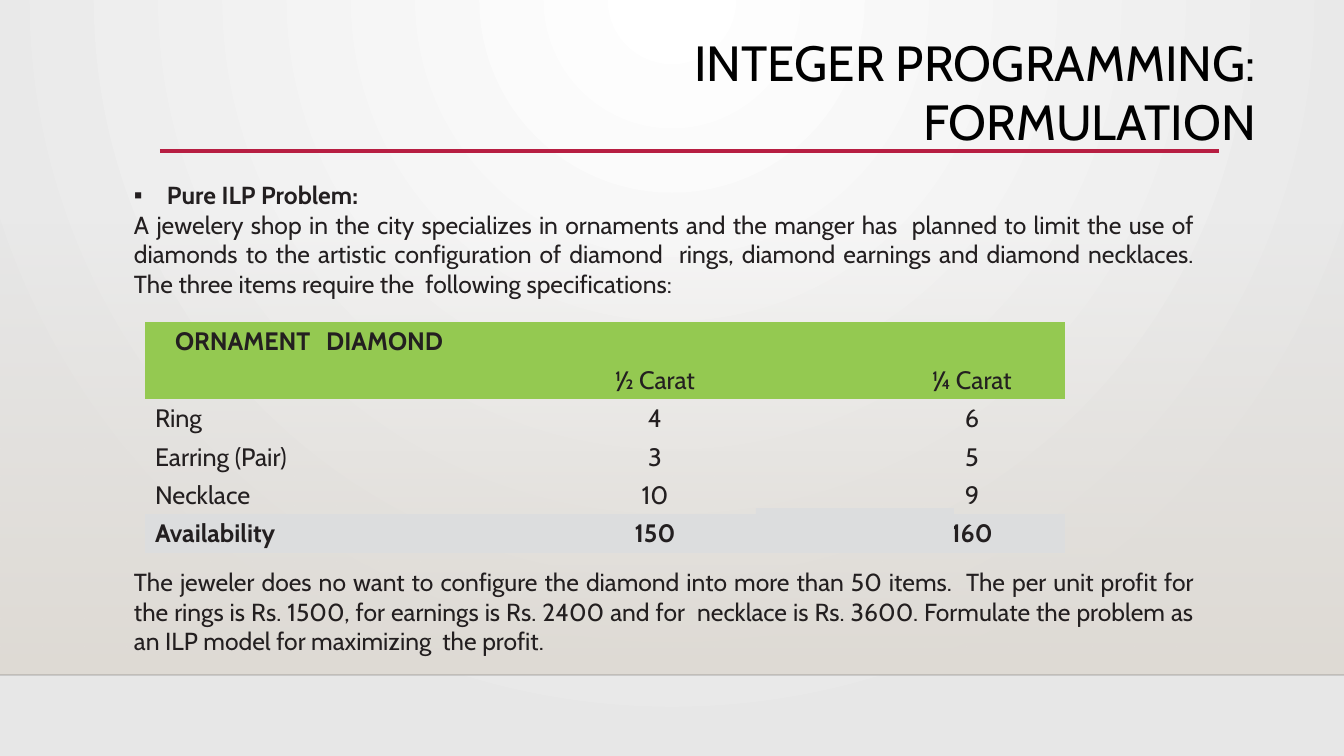
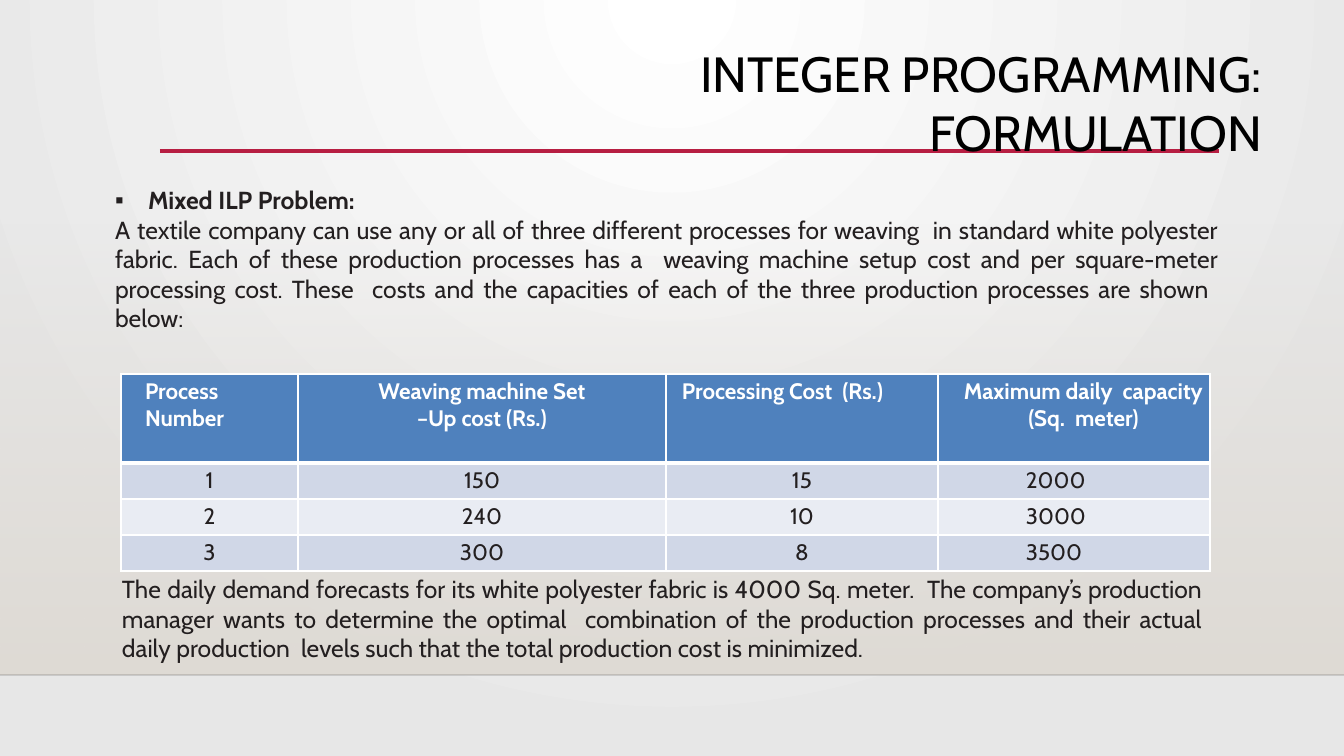
from lxml import etree
from pptx import Presentation
from pptx import util as u
from pptx.dml.color import RGBColor
from pptx.enum import shapes, text
from pptx.oxml.ns import qn

PX = u.Inches(1) / 100.8
FONT = "Cabin"
COLORS = {
    "ink": "231F20", "title": "000000", "white": "FFFFFF", "edge": "E7E7E7",
    "floor": "DFDBD5", "floor_line": "000001", "rule": "B71E42",
    "green": "94C951", "gray": "DCDDDE",
    "blue": "4F81BD", "blue_mid": "D0D7E7", "blue_pale": "E9ECF3",
}
LEFT, CENTER, RIGHT, JUSTIFY = (
    text.PP_ALIGN.LEFT, text.PP_ALIGN.CENTER, text.PP_ALIGN.RIGHT, text.PP_ALIGN.JUSTIFY)
NO_GRID_STYLE = "{2D5ABB26-0587-4C30-8999-92F81FD0307C}"
TITLE = ["INTEGER PROGRAMMING:", "FORMULATION"]

PROBLEMS = [
    {
        "title_box": (322, 31, 934, 121),
        "problem_box": (133, 179, 1062, 122),
        "heading": "Pure ILP Problem:",
        "problem": "A jewelery shop in the city specializes in ornaments and the manger has  planned "
                   "to limit the use of diamonds to the artistic configuration of diamond  rings, "
                   "diamond earnings and diamond necklaces. The three items require the  following "
                   "specifications:",
        "question_box": (133, 566, 1062, 91),
        "question": "The jeweler does no want to configure the diamond into more than 50 items.  The per "
                    "unit profit for the rings is Rs. 1500, for earnings is Rs. 2400 and for  necklace is "
                    "Rs. 3600. Formulate the problem as an ILP model for maximizing  the profit.",
        "table": {
            "at": (145, 322), "height": 231, "header": 39, "widths": (346, 328, 246), "size": 18,
            "rows": [
                ("ORNAMENT\tDIAMOND", "", ""),
                ("", "½ Carat", "¼ Carat"),
                ("Ring", "4", "6"),
                ("Earring (Pair)", "3", "5"),
                ("Necklace", "10", "9"),
                ("Availability", "150", "160"),
            ],
            "header_format": [(LEFT, 30)] * 3,
            "column_format": [(LEFT, 10), (CENTER, 0), (CENTER, 60)],
            "fills": ["green", "green", None, None, None, "gray"],
            "bold_rows": (0, 5), "header_ink": "ink", "header_tab": 376, "grid": False,
        },
        "patch": (756, 508, 198, 39),
    },
    {
        "title_box": (328, 42, 934, 121),
        "problem_box": (114, 184, 1105, 151),
        "heading": "Mixed ILP Problem:",
        "problem": "A textile company can use any or all of three different processes for weaving  in "
                   "standard white polyester fabric. Each of these production processes has a  weaving "
                   "machine setup cost and per square-meter processing cost. These  costs and the "
                   "capacities of each of the three production processes are shown  below:",
        "question_box": (121, 573, 1082, 91),
        "question": "The daily demand forecasts for its white polyester fabric is 4000 Sq. meter.  The "
                    "company’s production manager wants to determine the optimal  combination of the "
                    "production processes and their actual daily production  levels such that the total "
                    "production cost is minimized.",
        "table": {
            "at": (121, 374), "height": 197, "header": 89, "widths": (177, 368, 272, 272), "size": 16,
            "rows": [
                ("Process  Number", "Weaving machine Set\n–Up cost (Rs.)",
                 "Processing Cost  (Rs.)", "Maximum daily  capacity (Sq.  meter)"),
                ("1", "150", "15", "2000"),
                ("2", "240", "10", "3000"),
                ("3", "300", "8", "3500"),
            ],
            "header_format": [(LEFT, 24), (CENTER, 0), (LEFT, 16), (CENTER, 19)],
            "column_format": [(CENTER, 0), (CENTER, 0), (CENTER, 0), (LEFT, 88)],
            "fills": ["blue", "blue_mid", "blue_pale", "blue_mid"],
            "bold_rows": (0,), "header_ink": "white", "header_tab": None, "grid": True,
        },
        "patch": None,
    },
]


def px(length):
    return u.Emu(round(length * PX))


def rgb(name):
    return RGBColor.from_string(COLORS[name])


def sub(parent, tag, **attributes):
    return etree.SubElement(parent, qn(tag), {k: str(v) for k, v in attributes.items()})


def place(shape, box):
    shape.left, shape.top, shape.width, shape.height = map(px, box)


def style(paragraph, size, color="ink", bold=False, align=LEFT, indent=0, bullet=None, tab=None):
    paragraph.alignment = align
    paragraph.space_before = u.Pt(0)
    properties = paragraph._p.get_or_add_pPr()
    properties.set("marL", str(px(indent)))
    properties.set("indent", str(px(-33 if bullet else 0)))
    if bullet:
        sub(properties, "a:buChar", char=bullet)
    else:
        sub(properties, "a:buNone")
    if tab:
        sub(sub(properties, "a:tabLst"), "a:tab", pos=px(tab), algn="l")
    font = paragraph.font
    font.name, font.size, font.bold = FONT, u.Pt(size), bold
    font.color.rgb = rgb(color)


def fill_box(holder, box, lines, **formatting):
    place(holder, box)
    frame = holder.text_frame
    frame.word_wrap = True
    frame.auto_size = text.MSO_AUTO_SIZE.NONE
    frame.vertical_anchor = text.MSO_ANCHOR.TOP
    frame.margin_left = frame.margin_right = frame.margin_bottom = 0
    frame.margin_top = px(1)
    frame.text = "\n".join(lines)
    for paragraph in frame.paragraphs:
        style(paragraph, **formatting)
    return frame


def plain_rectangle(slide, box):
    rectangle = slide.shapes.add_shape(shapes.MSO_SHAPE.RECTANGLE, *map(px, box))
    rectangle.shadow.inherit = False
    rectangle.line.fill.background()
    return rectangle


def rule(slide, left, right, top, color, weight):
    line = slide.shapes.add_connector(
        shapes.MSO_CONNECTOR.STRAIGHT, px(left), px(top), px(right), px(top))
    line.line.color.rgb = rgb(color)
    line.line.width = u.Pt(weight)
    sub(line.element.spPr, "a:effectLst")
    return line


def set_stops(fill, first, last):
    fill.gradient()
    for stop, color in zip(fill.gradient_stops, (first, last)):
        stop.color.rgb = rgb(color)


def build_frame(layout, slide):
    set_stops(layout.background.fill, "white", "edge")
    gradient = next(layout.element.iter(qn("a:gradFill")))
    gradient.remove(gradient.find(qn("a:lin")))
    sub(sub(gradient, "a:path", path="circle"), "a:fillToRect", l=43000, t=0, r=43000, b=100000)

    floor = plain_rectangle(slide, (0, 223, 1344, 452))
    set_stops(floor.fill, "floor", "floor")
    floor.fill.gradient_angle = 270
    sub(next(floor.element.iter(qn("a:srgbClr"))), "a:alpha", val=0)
    floor_line = rule(slide, 0, 1344, 675, "floor_line", 1)
    sub(next(floor_line.element.iter(qn("a:srgbClr"))), "a:alpha", val=20000)
    title_rule = rule(slide, 160, 1219, 151, "rule", 2.5)
    for number, part in enumerate((floor, floor_line, title_rule), 20):
        next(part.element.iter(qn("p:cNvPr"))).set("id", str(number))
        layout.shapes.element.append(part.element)


def draw_borders(cell, row):
    properties = cell._tc.get_or_add_tcPr()
    weights = {"L": 1, "R": 1, "T": 3 if row == 1 else 1, "B": 3 if row == 0 else 1}
    for position, (side, weight) in enumerate(weights.items()):
        line = sub(properties, f"a:ln{side}", w=u.Pt(weight))
        sub(sub(line, "a:solidFill"), "a:srgbClr", val=COLORS["white"])
        properties.insert(position, line)


def build_table(slide, spec):
    rows, widths = spec["rows"], spec["widths"]
    table = slide.shapes.add_table(
        len(rows), len(widths), *map(px, (*spec["at"], sum(widths), spec["height"]))).table
    next(table._tbl.iter(qn("a:tableStyleId"))).text = NO_GRID_STYLE
    table.first_row = table.horz_banding = False
    for column, width in zip(table.columns, widths):
        column.width = px(width)
    body_height = (spec["height"] - spec["header"]) / (len(rows) - 1)
    for r, values in enumerate(rows):
        table.rows[r].height = px(body_height if r else spec["header"])
        formats = spec["column_format" if r else "header_format"]
        for c, (value, (align, indent)) in enumerate(zip(values, formats)):
            cell = table.cell(r, c)
            cell.margin_left = cell.margin_right = cell.margin_bottom = 0
            cell.margin_top = px(4)
            cell.text = value
            for paragraph in cell.text_frame.paragraphs:
                style(paragraph, spec["size"], "ink" if r else spec["header_ink"],
                      r in spec["bold_rows"], align, indent,
                      tab=None if r else spec["header_tab"])
            if spec["fills"][r]:
                cell.fill.solid()
                cell.fill.fore_color.rgb = rgb(spec["fills"][r])
            else:
                cell.fill.background()
            if spec["grid"]:
                draw_borders(cell, r)
    if spec["header_tab"]:
        table.cell(0, 0).merge(table.cell(0, len(widths) - 1))


def build_slide(slide, problem):
    title, statement, question = slide.placeholders
    fill_box(title, problem["title_box"], TITLE, size=35.3, color="title", align=RIGHT)
    frame = fill_box(statement, problem["problem_box"], [problem["heading"], problem["problem"]],
                     size=17.6, align=JUSTIFY, indent=1)
    heading = frame.paragraphs[0]
    heading._p.remove(heading._p.pPr)
    style(heading, 17.6, bold=True, indent=34, bullet="▪")
    fill_box(question, problem["question_box"], [problem["question"]],
             size=17.6, align=JUSTIFY, indent=1)
    build_table(slide, problem["table"])
    if problem["patch"]:
        patch = plain_rectangle(slide, problem["patch"])
        patch.fill.solid()
        patch.fill.fore_color.rgb = rgb("gray")


def main():
    deck = Presentation()
    deck.slide_width, deck.slide_height = px(1344), px(756)
    layout = deck.slide_layouts[3]
    for number, problem in enumerate(PROBLEMS):
        slide = deck.slides.add_slide(layout)
        if number == 0:
            build_frame(layout, slide)
        build_slide(slide, problem)
    deck.save("out.pptx")


if __name__ == "__main__":
    main()
